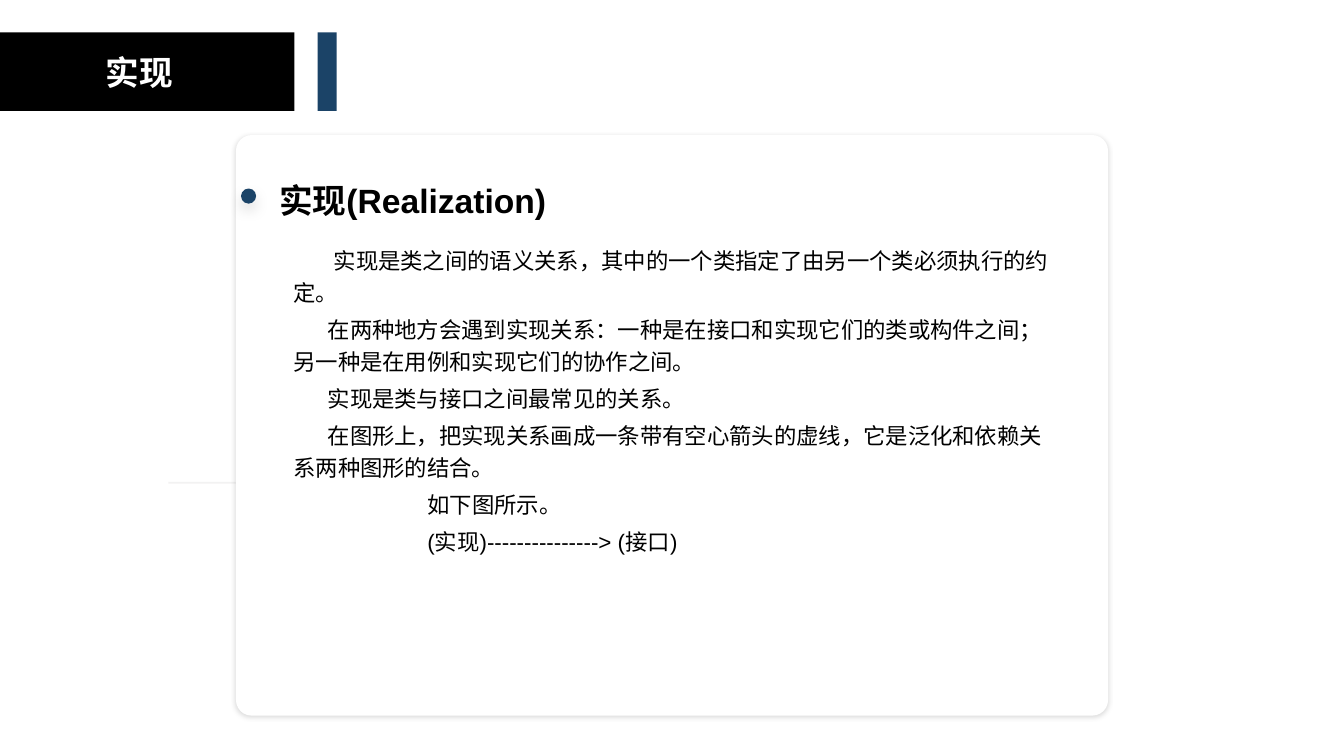
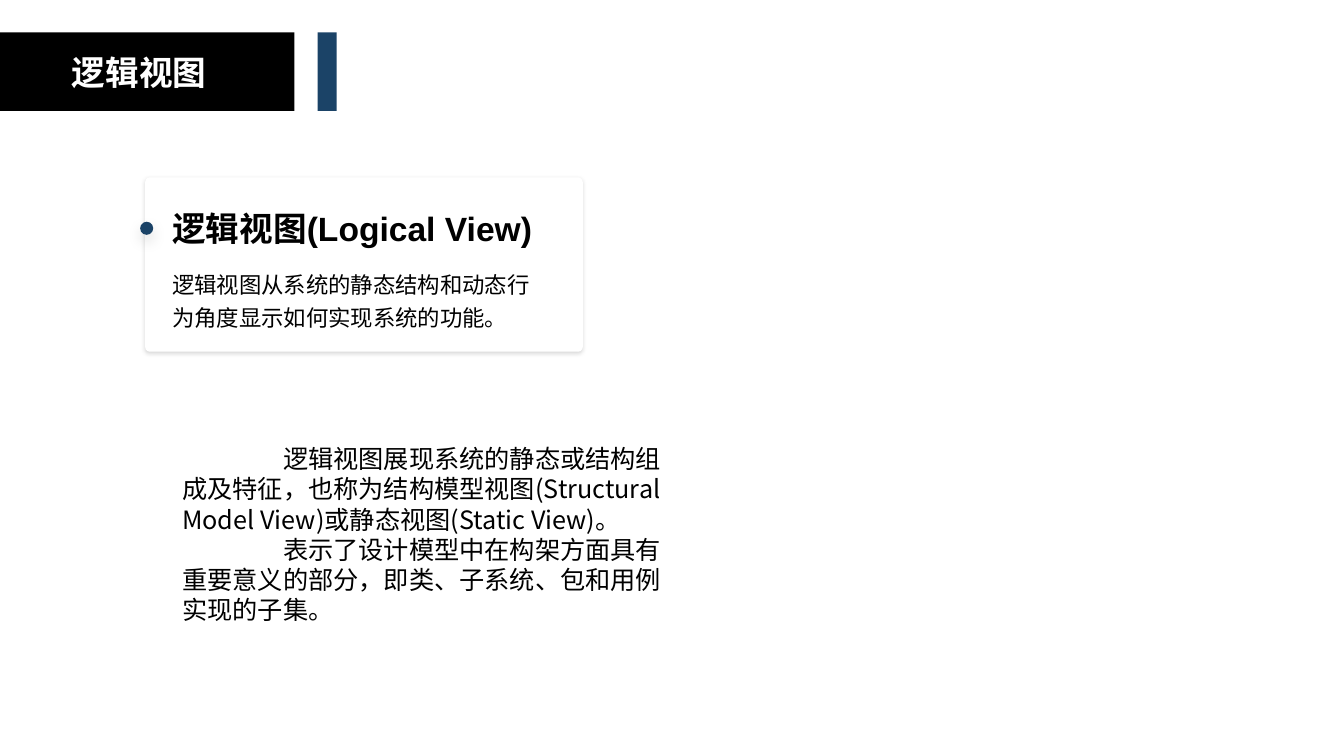
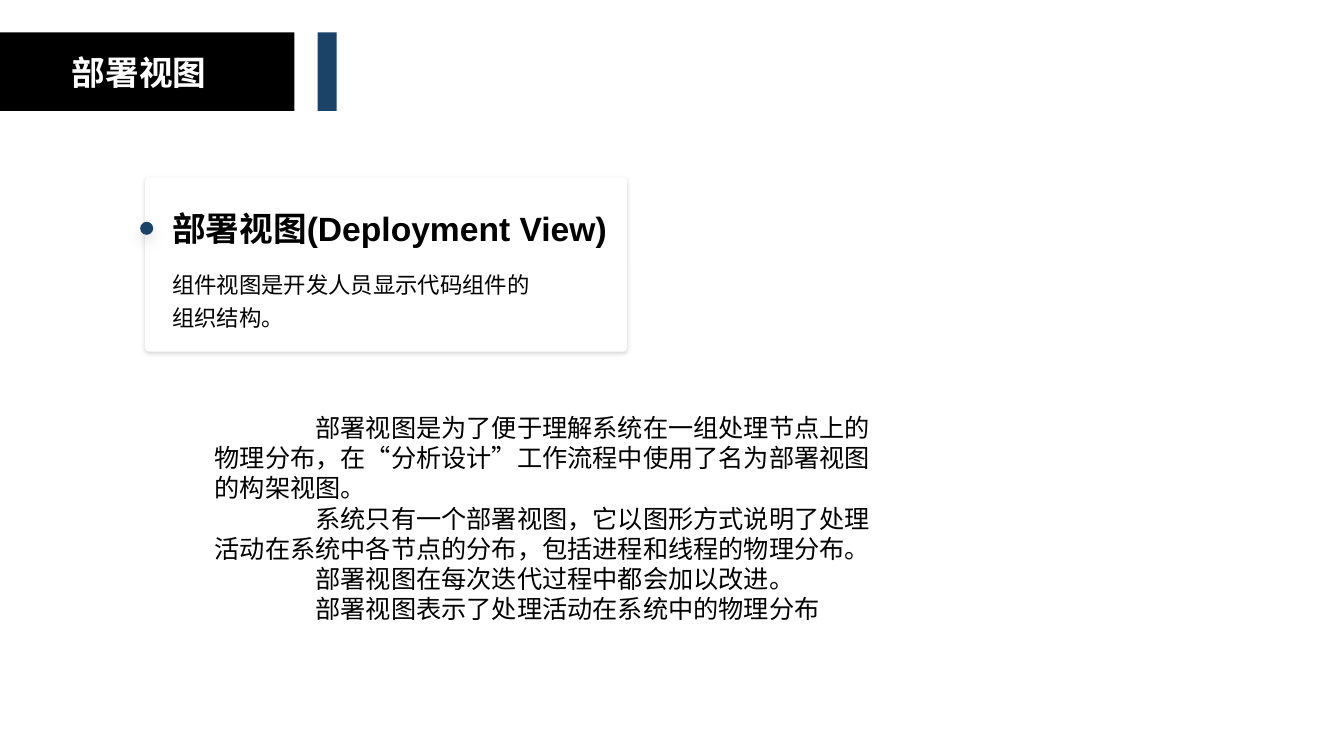
from lxml.etree import SubElement
from pptx import Presentation
from pptx.dml.color import RGBColor
from pptx.enum.shapes import MSO_CONNECTOR, MSO_SHAPE
from pptx.enum.text import MSO_ANCHOR, MSO_AUTO_SIZE, PP_ALIGN
from pptx.oxml.ns import qn
from pptx.util import Inches, Pt

BLACK, WHITE, NAVY, GREY = "000000", "FFFFFF", "1B4367", "E7E6E6"
LATIN, CJK = "Arial", "Noto Sans CJK SC"
LOOSE, TIGHT = 1.44, 1.2
CARD_SHADOW, DOT_SHADOW = (15, 3, 1), (12, 10, 5)


def colour(value):
    """Turn a hex string into a colour."""
    return RGBColor.from_string(value)


def set_alpha(colour_element, percent):
    """Give a colour element an opacity."""
    SubElement(colour_element, qn("a:alpha")).set("val", str(percent * 1000))


def add_shadow(shape, opacity, blur, distance):
    """Add a soft black shadow that falls straight down."""
    effects = shape._element.spPr.find(qn("a:effectLst"))
    shadow = SubElement(effects, qn("a:outerShdw"), blurRad=str(Pt(blur)),
                        dist=str(Pt(distance)), dir="5400000", algn="t", rotWithShape="0")
    set_alpha(SubElement(shadow, qn("a:srgbClr"), val=BLACK), opacity)


def add_block(slide, preset, box, fill, shadow=None):
    """Add a filled preset shape without an outline."""
    block = slide.shapes.add_shape(preset, *map(Inches, box))
    block.fill.solid()
    block.fill.fore_color.rgb = colour(fill)
    block.line.fill.background()
    block.shadow.inherit = False
    if shadow:
        add_shadow(block, *shadow)
    return block


def add_run(paragraph, text, size, font, fill=BLACK, bold=False):
    """Add one formatted run with its East Asian font."""
    run = paragraph.add_run()
    run.text = text
    run.font.size, run.font.bold, run.font.name = Pt(size), bold, font
    run.font.color.rgb = colour(fill)
    properties = run.font._element
    properties.set("lang", "zh-CN")
    SubElement(properties, qn("a:ea"), typeface=CJK)


def add_text(slide, box, lines, size, font=LATIN, bold=False, inset=0, leading=LOOSE, before=0.2):
    """Add paragraphs given as (text, left margin, first-line indent)."""
    frame = slide.shapes.add_textbox(*map(Inches, box)).text_frame
    frame.word_wrap = True
    frame.margin_left = frame.margin_right = Inches(inset)
    frame.margin_top = frame.margin_bottom = Inches(inset / 2)
    for index, (text, margin, indent) in enumerate(lines):
        paragraph = frame.add_paragraph() if index else frame.paragraphs[0]
        paragraph.line_spacing = Pt(size * leading)
        paragraph.space_before = Pt(size * before)
        properties = paragraph._p.get_or_add_pPr()
        properties.set("marL", str(Inches(margin)))
        properties.set("indent", str(Inches(indent)))
        add_run(paragraph, text, size, font, bold=bold)


def add_title_bands(slide, layout):
    """Draw the title bands and keep them in the layout."""
    for left, width, fill in ((0, 2.92, BLACK), (3.15, 0.19, NAVY)):
        band = add_block(slide, MSO_SHAPE.RECTANGLE, (left, 0.32, width, 0.78), fill)
        layout.shapes._spTree.append(band._element)


def add_titled_slide(deck, layout, text):
    """Add a slide with its title over the black band."""
    slide = deck.slides.add_slide(layout)
    title = slide.shapes.title
    title.left, title.top, title.width, title.height = map(Inches, (0, 0.46, 2.76, 0.5))
    frame = title.text_frame
    frame.auto_size = MSO_AUTO_SIZE.NONE
    frame.vertical_anchor = MSO_ANCHOR.MIDDLE
    paragraph = frame.paragraphs[0]
    paragraph.alignment = PP_ALIGN.CENTER
    add_run(paragraph, text, 24, CJK, WHITE, True)
    return slide


def add_card(slide, box, dot, heading_at, heading, body_box, body):
    """Add a white card with a dot, a heading and body text."""
    card = add_block(slide, MSO_SHAPE.ROUNDED_RECTANGLE, box, WHITE, CARD_SHADOW)
    card.adjustments[0] = 0.027
    add_block(slide, MSO_SHAPE.OVAL, dot, NAVY, DOT_SHADOW)
    add_text(slide, (*heading_at, 4.5, 0.48), [(heading, 0, 0)], 24, bold=True)
    add_text(slide, body_box, body, 16)


def add_view(slide, card_width, heading, summary, details_box, details):
    """Add the summary card and the details of an architecture view."""
    add_card(slide, (1.44, 1.76, card_width, 1.73), (1.39, 2.2, 0.13, 0.13),
             (1.71, 1.98), heading, (1.71, 2.64, 3.6, 0.65), [(summary, 0, 0)])
    add_text(slide, details_box, [(text, 0, 1) for text in details], 18, CJK,
             inset=0.1, leading=TIGHT, before=0)


def add_side_rule(slide):
    """Add the pale rule that runs behind the card."""
    rule = slide.shapes.add_connector(MSO_CONNECTOR.STRAIGHT, Inches(1.67), Inches(4.79),
                                      Inches(3.83), Inches(4.79))
    rule.line.width = Pt(1.25)
    rule.line.color.rgb = colour(GREY)
    properties = rule._element.spPr
    set_alpha(next(properties.iter(qn("a:srgbClr"))), 50)
    SubElement(properties, qn("a:effectLst"))


def main():
    """Build and save the three slides."""
    deck = Presentation()
    deck.slide_width, deck.slide_height = Inches(13.33), Inches(7.5)
    layout = deck.slide_layouts[5]

    realization = add_titled_slide(deck, layout, "实现")
    add_title_bands(realization, layout)
    add_side_rule(realization)
    add_card(realization, (2.34, 1.34, 8.65, 5.76), (2.39, 1.87, 0.15, 0.15),
             (2.77, 1.7), "实现(Realization)", (2.91, 2.4, 7.52, 3.17), [
                 ("实现是类之间的语义关系，其中的一个类指定了由另一个类必须执行的约定。", 0, 0.4),
                 ("在两种地方会遇到实现关系：一种是在接口和实现它们的类或构件之间；"
                  "另一种是在用例和实现它们的协作之间。", 0, 0.34),
                 ("实现是类与接口之间最常见的关系。", 0, 0.34),
                 ("在图形上，把实现关系画成一条带有空心箭头的虚线，"
                  "它是泛化和依赖关系两种图形的结合。", 0, 0.34),
                 ("如下图所示。", 1.33, 0),
                 ("(实现)---------------> (接口)", 1.33, 0)])

    logical = add_titled_slide(deck, layout, "逻辑视图")
    add_view(logical, 4.34, "逻辑视图(Logical View)",
             "逻辑视图从系统的静态结构和动态行为角度显示如何实现系统的功能。",
             (1.71, 4.35, 5, 1.92), [
                 "逻辑视图展现系统的静态或结构组成及特征，也称为结构模型视图"
                 "(Structural Model View)或静态视图(Static View)。",
                 "表示了设计模型中在构架方面具有重要意义的部分，即类、子系统、包和用例实现的子集。"])

    deployment = add_titled_slide(deck, layout, "部署视图")
    add_view(deployment, 4.78, "部署视图(Deployment View)",
             "组件视图是开发人员显示代码组件的组织结构。",
             (2.03, 4.04, 6.91, 2.52), [
                 "部署视图是为了便于理解系统在一组处理节点上的物理分布，"
                 "在“分析设计”工作流程中使用了名为部署视图的构架视图。",
                 "系统只有一个部署视图，它以图形方式说明了处理活动在系统中各节点的分布，"
                 "包括进程和线程的物理分布。",
                 "部署视图在每次迭代过程中都会加以改进。",
                 "部署视图表示了处理活动在系统中的物理分布"])

    deck.save("out.pptx")


if __name__ == "__main__":
    main()
